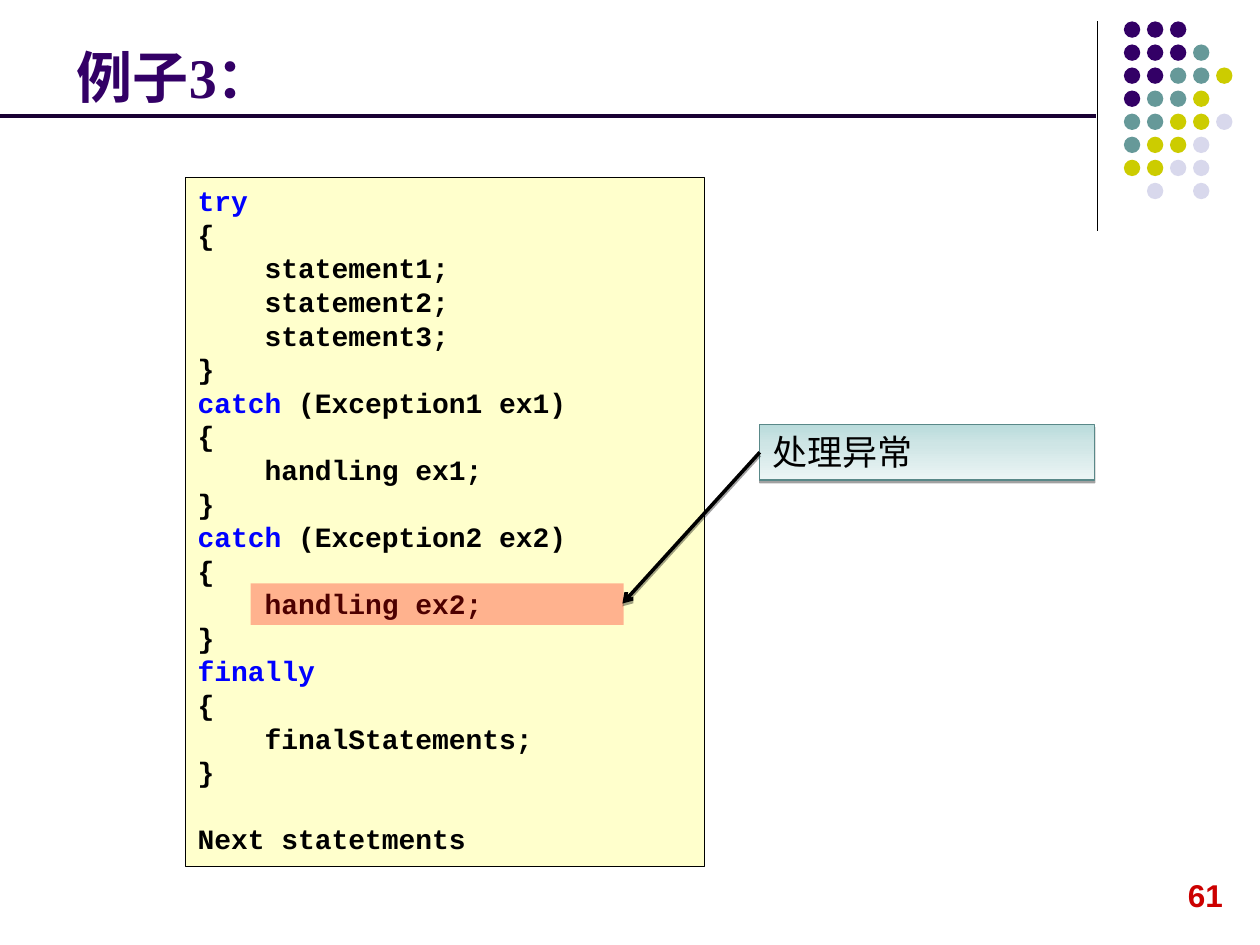
from lxml import etree
from pptx import Presentation
from pptx.dml.color import RGBColor
from pptx.enum.shapes import MSO_CONNECTOR, MSO_SHAPE
from pptx.enum.text import MSO_ANCHOR
from pptx.oxml import parse_xml
from pptx.oxml.ns import nsdecls, qn
from pptx.util import Inches, Pt

BLACK = RGBColor(0x00, 0x00, 0x00)
PURPLE = RGBColor(0x33, 0x00, 0x66)
DARK_PURPLE = RGBColor(0x19, 0x00, 0x33)
TEAL = RGBColor(0x66, 0x99, 0x99)
OLIVE = RGBColor(0xCC, 0xCC, 0x00)
LAVENDER = RGBColor(0xD8, 0xD8, 0xEC)
CREAM = RGBColor(0xFF, 0xFF, 0xCC)
BLUE = RGBColor(0x00, 0x00, 0xFF)
RED = RGBColor(0xFF, 0x00, 0x00)
PAGE_RED = RGBColor(0xCC, 0x00, 0x00)
CALLOUT_EDGE = RGBColor(0x59, 0x88, 0x88)
CALLOUT_STOPS = [(0, RGBColor(0xB9, 0xDB, 0xDB)), (35, RGBColor(0xCE, 0xE5, 0xE5)),
                 (100, RGBColor(0xEC, 0xF5, 0xF5))]

CJK_FONT = "Noto Sans CJK SC"
DOT_COLORS = {"p": PURPLE, "t": TEAL, "o": OLIVE, "l": LAVENDER}
DOT_ROWS = ["ppp", "pppt", "pptto", "ptto", "ttool", "tool", "ooll", ".l.l"]
KEYWORDS = ("try", "catch", "finally")
CODE = """try
{
    statement1;
    statement2;
    statement3;
}
catch (Exception1 ex1)
{
    handling ex1;
}
catch (Exception2 ex2)
{
    handling ex2;
}
finally
{
    finalStatements;
}

Next statetments"""
CODE_PITCH = Pt(19.2)


def add_box(s, box, fill=None, line=None, shape=MSO_SHAPE.RECTANGLE):
    sp = s.shapes.add_shape(shape, *map(Inches, box))
    sp.shadow.inherit = False
    if fill is not None:
        sp.fill.solid()
        sp.fill.fore_color.rgb = fill
    if line is None:
        sp.line.fill.background()
    else:
        sp.line.color.rgb = line
        sp.line.width = Pt(0.75)
    sp.text_frame.word_wrap = True
    sp.text_frame.vertical_anchor = MSO_ANCHOR.TOP
    return sp


def add_line(s, start, end, color, width):
    line = s.shapes.add_connector(MSO_CONNECTOR.STRAIGHT, *map(Inches, start + end))
    line.line.color.rgb = color
    line.line.width = Pt(width)
    etree.SubElement(line._element.spPr, qn("a:effectLst"))
    return line


def add_text(s, box, text):
    tf = s.shapes.add_textbox(*map(Inches, box)).text_frame
    tf.word_wrap = True
    tf.text = text
    return tf


def style_run(r, font, size, color, bold=False):
    r.font.name, r.font.size, r.font.bold = font, Pt(size), bold
    r.font.color.rgb = color


def use_cjk_font(r):
    r.font._element.find(qn("a:latin")).addnext(
        parse_xml(f'<a:ea {nsdecls("a")} typeface="{CJK_FONT}"/>'))


def drop_shadow(sp):
    effects = sp._element.spPr.find(qn("a:effectLst"))
    effects.append(parse_xml(
        f'<a:outerShdw {nsdecls("a")} blurRad="0" dist="{Pt(1.6)}" dir="5400000" rotWithShape="0">'
        '<a:srgbClr val="000000"><a:alpha val="37000"/></a:srgbClr></a:outerShdw>'))


def dot_pattern(s, left, top, pitch, size):
    for row, codes in enumerate(DOT_ROWS):
        for col, code in enumerate(codes):
            if code in DOT_COLORS:
                add_box(s, (left + col * pitch, top + row * pitch, size, size),
                        DOT_COLORS[code], shape=MSO_SHAPE.OVAL)


def title_bar(s, left, top, width, height):
    tf = add_text(s, (left, top, width, height), "例子3：")
    tf.vertical_anchor = MSO_ANCHOR.BOTTOM
    r = tf.paragraphs[0].runs[0]
    style_run(r, "Times New Roman", 32, PURPLE, True)
    use_cjk_font(r)
    bottom = top + height
    add_line(s, (0, bottom), (8.7, bottom), DARK_PURPLE, 2.25)


def code_panel(s, left, top, width, height):
    tf = add_box(s, (left, top, width, height), CREAM, BLACK).text_frame
    gap = 0
    p = tf.paragraphs[0]
    for number, line in enumerate(CODE.split("\n")):
        if not line:
            gap = CODE_PITCH
            continue
        if number:
            p = tf.add_paragraph()
        p.line_spacing = CODE_PITCH
        if gap:
            p.space_before, gap = gap, 0
        keyword = next((k for k in KEYWORDS if line.startswith(k)), "")
        for text, color in ((keyword, BLUE), (line[len(keyword):], BLACK)):
            if text:
                r = p.add_run()
                r.text = text
                style_run(r, "Courier New", 16, color, True)


def highlight(s, left, top, width, height):
    sp = add_box(s, (left, top, width, height), RED)
    color = sp._element.spPr.find(qn("a:solidFill"))[0]
    etree.SubElement(color, qn("a:alpha"), val="30000")


def callout(s, left, top, width, height, target):
    sp = add_box(s, (left, top, width, height), line=CALLOUT_EDGE)
    stops = "".join(f'<a:gs pos="{pos * 1000}"><a:srgbClr val="{color}"/></a:gs>'
                    for pos, color in CALLOUT_STOPS)
    sp._element.spPr.find(qn("a:prstGeom")).addnext(parse_xml(
        f'<a:gradFill {nsdecls("a")} rotWithShape="1"><a:gsLst>{stops}</a:gsLst>'
        '<a:lin ang="5400000" scaled="0"/></a:gradFill>'))
    drop_shadow(sp)
    sp.text_frame.text = "处理异常"
    r = sp.text_frame.paragraphs[0].runs[0]
    style_run(r, CJK_FONT, 20, BLACK)
    use_cjk_font(r)
    arrow = add_line(s, (left, top + height / 2), target, BLACK, 2)
    etree.SubElement(arrow.line._get_or_add_ln(), qn("a:tailEnd"), type="arrow")
    drop_shadow(arrow)


def page_number(s, left, top, width, height):
    tf = add_text(s, (left, top, width, height), "61")
    tf.word_wrap = False
    style_run(tf.paragraphs[0].runs[0], "Arial", 18, PAGE_RED, True)


def left_align(s):
    for sp in s.shapes:
        if sp.has_text_frame:
            for p in sp.text_frame.paragraphs:
                if p.runs:
                    p._p.get_or_add_pPr().set("algn", "l")


def main():
    prs = Presentation()
    prs.slide_width, prs.slide_height = Inches(10), Inches(7.5)
    s = prs.slides.add_slide(prs.slide_layouts[6])
    add_line(s, (8.71, 0.17), (8.71, 1.83), BLACK, 0.75)
    dot_pattern(s, 8.92, 0.17, 0.183, 0.13)
    page_number(s, 9.33, 6.9, 0.48, 0.4)
    title_bar(s, 0.51, 0.21, 8.17, 0.71)
    code_panel(s, 1.47, 1.41, 4.12, 5.47)
    highlight(s, 1.99, 4.63, 2.96, 0.33)
    callout(s, 6.03, 3.37, 2.66, 0.44, target=(4.94, 4.79))
    left_align(s)
    prs.save("out.pptx")


if __name__ == "__main__":
    main()
